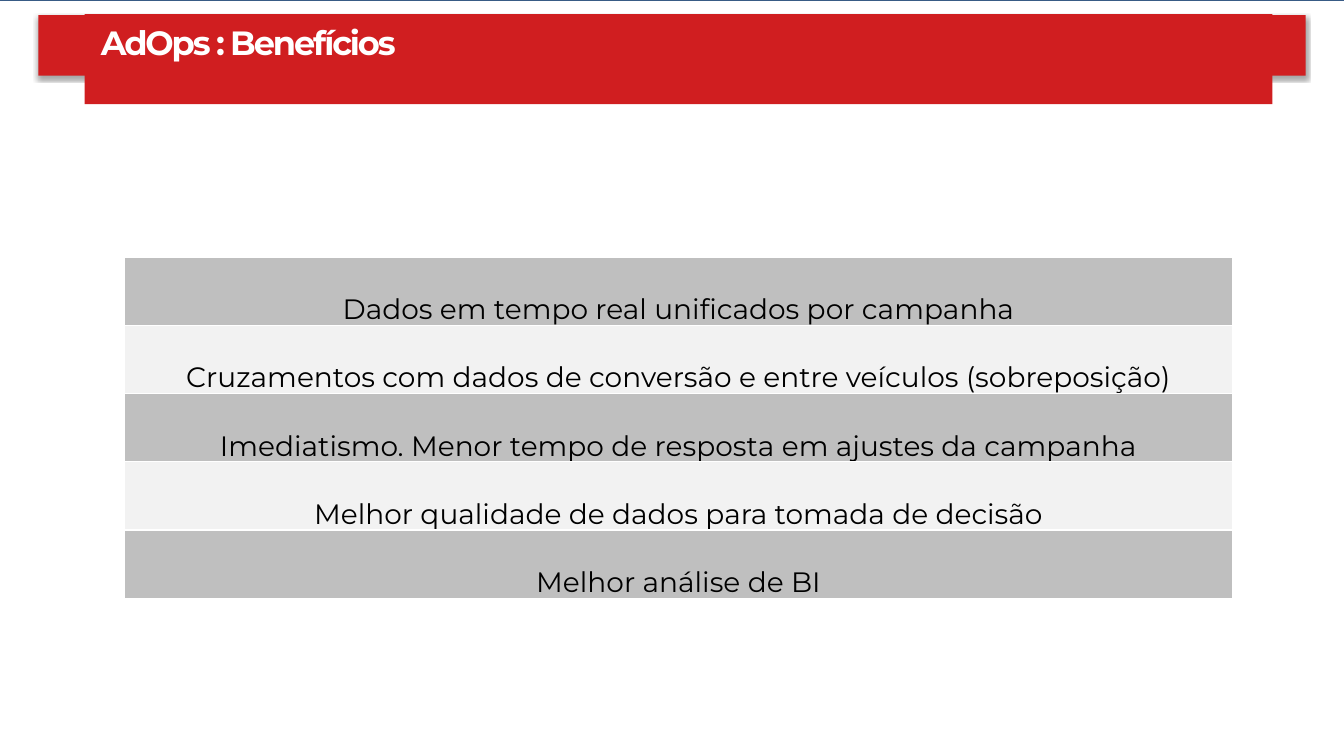
from lxml import etree
from pptx import Presentation
from pptx import util as u
from pptx.dml.color import RGBColor
from pptx.enum import shapes, text
from pptx.oxml import parse_xml
from pptx.oxml.ns import nsdecls, qn

NAVY = RGBColor(0x1F, 0x49, 0x7D)
RED = RGBColor(0xD0, 0x1E, 0x20)
WHITE = RGBColor(0xFF, 0xFF, 0xFF)
BLACK = RGBColor(0, 0, 0)
GRAY = RGBColor(0xBF, 0xBF, 0xBF)
PALE = RGBColor(0xF2, 0xF2, 0xF2)

SHADOW = f'''<a:effectLst {nsdecls("a")}>
  <a:outerShdw blurRad="40000" dist="23000" dir="5400000" rotWithShape="0">
    <a:srgbClr val="000000"><a:alpha val="35000"/></a:srgbClr>
  </a:outerShdw>
</a:effectLst>'''
EDGE = f'''<a:{{0}} {nsdecls("a")} w="12700">
  <a:solidFill><a:srgbClr val="FFFFFF"/></a:solidFill>
</a:{{0}}>'''

BENEFITS = [
    "Dados em tempo real unificados por campanha",
    "Cruzamentos com dados de conversão e entre veículos (sobreposição)",
    "Imediatismo. Menor tempo de resposta em ajustes da campanha",
    "Melhor qualidade de dados para tomada de decisão",
    "Melhor análise de BI",
]


def write(frame, words, size, color, bold=False, align=text.PP_ALIGN.LEFT,
          space=1.0, track=0):
    """Put words in a frame; track is letter spacing in points."""
    para = frame.paragraphs[0]
    para.alignment = align
    para.line_spacing = space
    run = para.add_run()
    run.text = words
    run.font.name = "Montserrat"
    run.font.size = u.Pt(size)
    run.font.bold = bold
    run.font.color.rgb = color
    if track:
        run.font._element.set("spc", str(round(track * 100)))


deck = Presentation()
deck.slide_width, deck.slide_height = u.Inches(13.33), u.Inches(7.5)
slide = deck.slides.add_slide(deck.slide_layouts[5])
slide.background.fill.solid()
slide.background.fill.fore_color.rgb = NAVY

# White page and red banner
for box, color in [((0, 0.01, 13.33, 7.49), WHITE),
                   ((0.38, 0.15, 12.57, 0.6), RED)]:
    panel = slide.shapes.add_shape(shapes.MSO_SHAPE.RECTANGLE,
                                   *map(u.Inches, box))
    panel.fill.solid()
    panel.fill.fore_color.rgb = color
    panel.line.fill.background()
    panel._element.spPr.append(parse_xml(SHADOW))

# Title, brought in front of the banner
title = slide.shapes.title
slide.shapes._spTree.append(title._element)
title.left, title.top, title.width, title.height = map(
    u.Inches, (0.84, 0.14, 11.78, 0.56))
title.fill.solid()
title.fill.fore_color.rgb = RED
frame = title.text_frame
frame.word_wrap = True
frame.auto_size = text.MSO_AUTO_SIZE.SHAPE_TO_FIT_TEXT
frame.vertical_anchor = text.MSO_ANCHOR.TOP
frame.margin_left = frame.margin_right = u.Inches(0.16)
frame.margin_top = frame.margin_bottom = u.Inches(0.08)
write(frame, "AdOps : Benefícios", 24, WHITE, bold=True, track=-1.5)

# Benefits table, rows in alternating grays
grid = slide.shapes.add_table(len(BENEFITS), 1, *map(
    u.Inches, (1.23, 2.55, 11, 2.82))).table
grid.first_row = grid.horz_banding = False
for row, words in enumerate(BENEFITS):
    cell = grid.cell(row, 0)
    cell.vertical_anchor = text.MSO_ANCHOR.MIDDLE
    cell.margin_left = cell.margin_right = cell.margin_top = u.Inches(0.01)
    cell.margin_bottom = 0
    write(cell.text_frame, words, 20, BLACK,
          align=text.PP_ALIGN.CENTER, space=2.0)
    props = cell._tc.get_or_add_tcPr()
    for side in ("lnL", "lnR", "lnT", "lnB"):
        props.append(parse_xml(EDGE.format(side)))
    fill = etree.SubElement(props, qn("a:solidFill"))
    etree.SubElement(fill, qn("a:srgbClr"), val=str((GRAY, PALE)[row % 2]))

deck.save("out.pptx")
